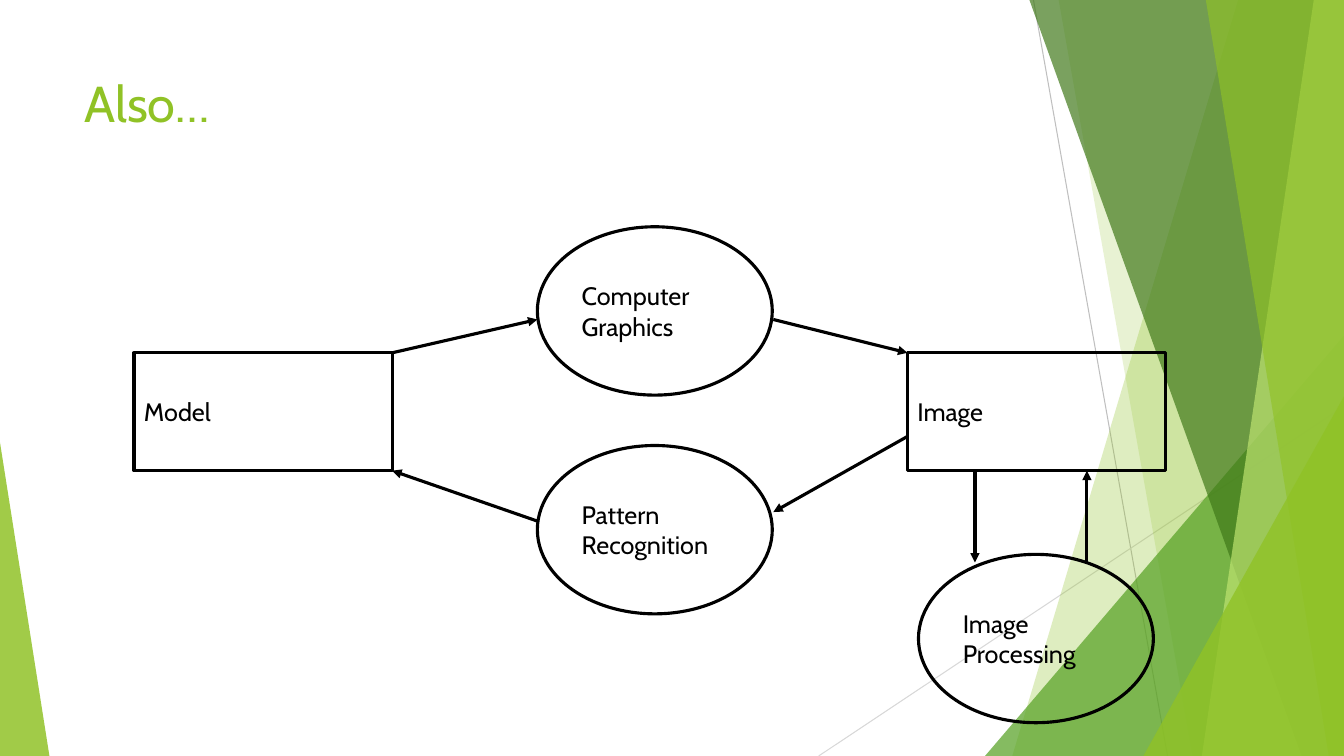
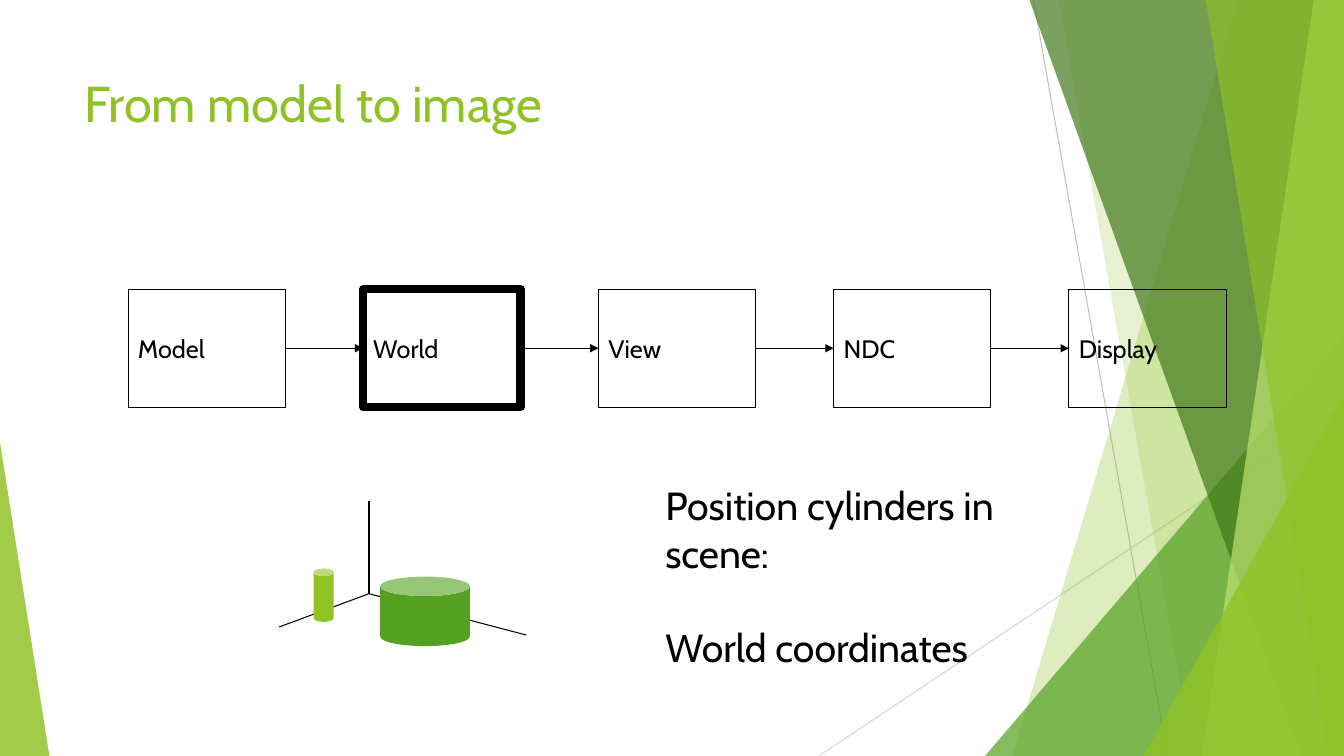
from dataclasses import dataclass

from lxml import etree
from pptx import Presentation
from pptx.dml.color import RGBColor
from pptx.enum import shapes, text
from pptx.oxml.ns import qn
from pptx.util import Inches, Pt


@dataclass(frozen=True)
class Theme:
    font: str = "Cabin"
    ink: str = "000000"
    lime: str = "90C226"
    pale_lime: str = "BFE471"
    green: str = "54A021"
    dark_green: str = "3F7818"
    gray: str = "BFBFBF"
    light_gray: str = "D8D8D8"
    title_size: int = 36
    note_size: int = 28
    label_size: int = 18
    thin: float = 0.75
    medium: float = 2.25
    heavy: float = 6


theme = Theme()
SHAPE = shapes.MSO_SHAPE
WIDTH, HEIGHT = 13.33, 7.5


def add_line(page, start, end, color=theme.ink, weight=theme.thin, arrow=False):
    """Draw a straight line; an arrow points at its end."""
    line = page.shapes.add_connector(
        shapes.MSO_CONNECTOR.STRAIGHT, *(Inches(value) for value in (*start, *end)))
    line.line.color.rgb = RGBColor.from_string(color)
    line.line.width = Pt(weight)
    if arrow:
        etree.SubElement(line.line._get_or_add_ln(), qn("a:tailEnd"), type="triangle")
    etree.SubElement(line._element.spPr, qn("a:effectLst"))


def add_text(page, place, words, size=theme.label_size, color=theme.ink,
             kind=None, weight=theme.medium, gap=0):
    """Write one paragraph per line of words, in an outlined shape if a kind is given."""
    place = [Inches(value) for value in place]
    if kind is None:
        box = page.shapes.add_textbox(*place)
    else:
        box = page.shapes.add_shape(kind, *place)
        box.shadow.inherit = False
        box.fill.background()
        box.line.color.rgb = RGBColor.from_string(theme.ink)
        box.line.width = Pt(weight)
    frame = box.text_frame
    frame.word_wrap = True
    frame.vertical_anchor = text.MSO_ANCHOR.MIDDLE if kind else text.MSO_ANCHOR.TOP
    frame.text = words
    for index, para in enumerate(frame.paragraphs):
        para.alignment = text.PP_ALIGN.LEFT
        if index:
            para.space_before = Pt(gap)
        for span in para.runs:
            span.font.name = theme.font
            span.font.size = Pt(size)
            span.font.color.rgb = RGBColor.from_string(color)


deck = Presentation()
deck.slide_width, deck.slide_height = Inches(WIDTH), Inches(HEIGHT)

# Bands give the x of their left edge at top and bottom; triangles give
# left, top, width, height and the position of the apex.
facets = [
    ((12.28, 10.04), theme.lime, 29),
    ((10.5, 11.83), theme.lime, 20),
    ((9.77, 3.33, 3.56, 4.17, 1), theme.green, 71),
    ((10.21, 12.91), theme.dark_green, 69),
    ((13.03, 11.92), theme.pale_lime, 69),
    ((11.96, 13.18), theme.lime, 64),
    ((11.34, 3.93, 1.99, 3.57, 1), theme.lime, 80),
    ((0, 4.39, 0.49, 3.11, 0), theme.lime, 84),
]

pages = []
for title in ("Also…", "From model to image"):
    page = deck.slides.add_slide(deck.slide_layouts[6])
    pages.append(page)
    add_line(page, (10.25, 0), (11.58, HEIGHT), theme.gray)
    add_line(page, (WIDTH, 4.03), (8.12, HEIGHT), theme.light_gray)
    for geometry, color, opacity in facets:
        if len(geometry) == 2:
            top, bottom = geometry
            outline = page.shapes.build_freeform(Inches(top), 0)
            corners = [(WIDTH, 0), (WIDTH, HEIGHT), (bottom, HEIGHT)]
            outline.add_line_segments([(Inches(x), Inches(y)) for x, y in corners])
            facet = outline.convert_to_shape()
        else:
            *place, apex = geometry
            facet = page.shapes.add_shape(
                SHAPE.ISOSCELES_TRIANGLE, *(Inches(value) for value in place))
            facet.adjustments[0] = apex
        facet.shadow.inherit = False
        facet.line.fill.background()
        facet.fill.solid()
        facet.fill.fore_color.rgb = RGBColor.from_string(color)
        tint = facet._element.spPr.find(qn("a:solidFill"))[0]
        etree.SubElement(tint, qn("a:alpha"), val=str(opacity * 1000))
    add_text(page, (0.74, 0.67, 9.4, 1.44), title, theme.title_size, theme.lime)

cycle, pipeline = pages

# Cycle between model and image
for left, label in ((1.33, "Model"), (9, "Image")):
    add_text(cycle, (left, 3.5, 2.56, 1.17), label, kind=SHAPE.RECTANGLE)

for left, top, label in (
    (5.33, 2.25, "Computer\nGraphics"),
    (5.33, 4.42, "Pattern\nRecognition"),
    (9.11, 5.5, "Image\nProcessing"),
):
    add_text(cycle, (left, top, 2.33, 1.67), label, kind=SHAPE.OVAL)

for start, end in (
    ((3.89, 3.5), (5.33, 3.17)),
    ((7.67, 3.17), (9, 3.5)),
    ((9, 4.33), (7.67, 5.08)),
    ((5.33, 5.17), (3.89, 4.67)),
    ((9.67, 4.67), (9.67, 5.58)),
    ((10.78, 5.58), (10.78, 4.67)),
):
    add_line(cycle, start, end, weight=theme.medium, arrow=True)

# Pipeline of coordinate systems
stages = ["Model", "World", "View", "NDC", "Display"]
first_left, stage_top, stage_width, stage_height = 1.27, 2.87, 1.56, 1.17
pitch = 2.333
middle = stage_top + stage_height / 2
for index, stage in enumerate(stages):
    left = first_left + index * pitch
    weight = theme.heavy if stage == "World" else theme.thin
    add_text(pipeline, (left, stage_top, stage_width, stage_height), stage,
             kind=SHAPE.RECTANGLE, weight=weight)
    if index:
        add_line(pipeline, (left - pitch + stage_width, middle), (left, middle), arrow=True)

add_text(pipeline, (6.5, 4.73, 4.29, 1.51),
         "Position cylinders in scene:\nWorld coordinates", theme.note_size, gap=34)

# Cylinders standing among the world axes
for axis_end in ((2.77, 6.22), (3.66, 4.97), (5.22, 6.3)):
    add_line(pipeline, (3.66, 5.89), axis_end)

for place, curve, color in (
    ((3.77, 5.72, 0.89, 0.69), 0.28, theme.green),
    ((3.11, 5.64, 0.2, 0.53), 0.38, theme.lime),
):
    cylinder = pipeline.shapes.add_shape(SHAPE.CAN, *(Inches(value) for value in place))
    cylinder.adjustments[0] = curve
    cylinder.shadow.inherit = False
    cylinder.line.fill.background()
    cylinder.fill.solid()
    cylinder.fill.fore_color.rgb = RGBColor.from_string(color)

deck.save("out.pptx")
